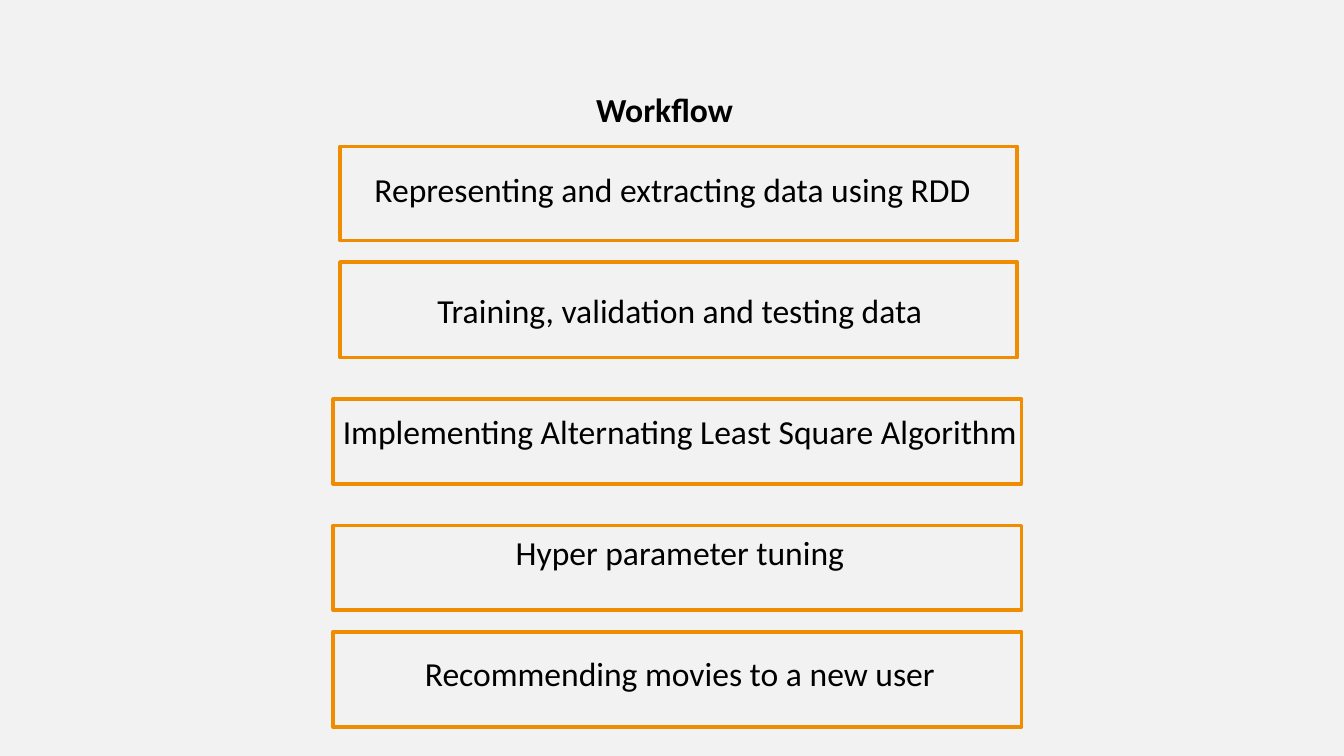
from lxml import etree
from pptx import Presentation
from pptx.dml.color import RGBColor
from pptx.enum.shapes import MSO_SHAPE
from pptx.enum.text import MSO_ANCHOR, MSO_AUTO_SIZE, PP_ALIGN
from pptx.oxml.ns import qn
from pptx.util import Inches, Pt

BACKGROUND = RGBColor(0xF2, 0xF2, 0xF2)
ORANGE = RGBColor(0xF0, 0x8C, 0x00)
BLACK = RGBColor(0, 0, 0)

# Step text, left indent of the text, then left, top, width, height of its box
STEPS = [
    ("Representing and extracting data using RDD", 0, 2.53, 1.09, 5.04, 0.70),
    ("Training, validation and testing data", 0.11, 2.53, 1.95, 5.04, 0.71),
    ("Implementing Alternating Least Square Algorithm", 0.11, 2.48, 2.97, 5.12, 0.63),
    ("Hyper parameter tuning", 0.11, 2.48, 3.91, 5.12, 0.63),
    ("Recommending movies to a new user", 0.11, 2.48, 4.70, 5.12, 0.71),
]


def place(placeholder, left, top, width, height):
    """Move a placeholder and return its text frame, anchored at the top."""
    placeholder.left, placeholder.top = Inches(left), Inches(top)
    placeholder.width, placeholder.height = Inches(width), Inches(height)
    frame = placeholder.text_frame
    frame.word_wrap = True
    frame.auto_size = MSO_AUTO_SIZE.NONE
    frame.vertical_anchor = MSO_ANCHOR.TOP
    return frame


def write(paragraph, text, bold=False):
    """Add one centred run of slide text."""
    paragraph.alignment = PP_ALIGN.CENTER
    paragraph.space_before = Pt(0)
    run = paragraph.add_run()
    run.text = text
    run.font.name = "Calibri"
    run.font.size = Pt(18)
    run.font.bold = bold
    run.font.color.rgb = BLACK


presentation = Presentation()
presentation.slide_width = Inches(10)
presentation.slide_height = presentation.slide_width * 9 // 16
slide = presentation.slides.add_slide(presentation.slide_layouts[1])
slide.background.fill.solid()
slide.background.fill.fore_color.rgb = BACKGROUND

title_frame = place(slide.shapes.title, 0.91, 0.61, 8.07, 0.4)
write(title_frame.paragraphs[0], "Workflow", bold=True)

steps_frame = place(slide.placeholders[1], 0.91, 1.21, 8.19, 4.35)
for index, (text, indent, left, top, width, height) in enumerate(STEPS):
    paragraph = steps_frame.paragraphs[0] if index == 0 else steps_frame.add_paragraph()
    write(paragraph, text)
    paragraph.space_after = Pt(43.2)
    properties = paragraph._p.get_or_add_pPr()
    properties.set("marL", str(Inches(indent)))
    properties.set("indent", "0")
    etree.SubElement(properties, qn("a:buNone"))

    box = slide.shapes.add_shape(
        MSO_SHAPE.RECTANGLE, Inches(left), Inches(top), Inches(width), Inches(height))
    box.shadow.inherit = False
    box.fill.background()
    box.line.color.rgb = ORANGE
    box.line.width = Pt(2)

presentation.save("out.pptx")
